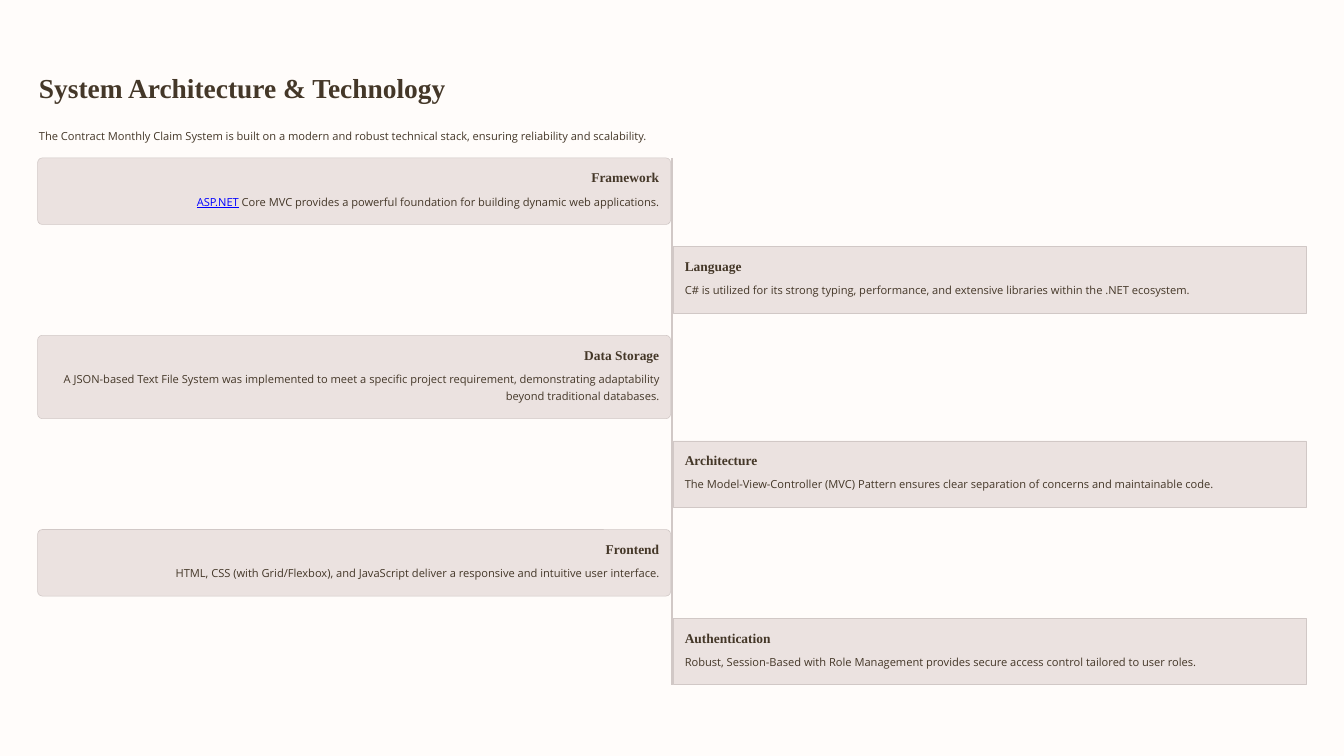
"""Build the System Architecture & Technology timeline slide."""
from pptx import Presentation
from pptx.dml.color import RGBColor
from pptx.enum.shapes import MSO_CONNECTOR, MSO_SHAPE
from pptx.enum.text import MSO_ANCHOR, MSO_AUTO_SIZE, PP_ALIGN
from pptx.oxml.ns import qn
from pptx.util import Inches, Pt
from lxml import etree

LEFT, RIGHT = PP_ALIGN.LEFT, PP_ALIGN.RIGHT
ROUNDED, SQUARE = MSO_SHAPE.ROUNDED_RECTANGLE, MSO_SHAPE.RECTANGLE
STRAIGHT = MSO_CONNECTOR.STRAIGHT
TOP, FIXED = MSO_ANCHOR.TOP, MSO_AUTO_SIZE.NONE

TITLE = "System Architecture & Technology"
INTRO = ("The Contract Monthly Claim System is built on a modern and robust technical stack, "
         "ensuring reliability and scalability.")
CARDS = [
    ("Framework", 1, [("ASP.NET", "link"),
                      (" Core MVC provides a powerful foundation for building dynamic web applications.", "text")]),
    ("Language", 1, [("C# is utilized for its strong typing, performance, and extensive libraries "
                      "within the .NET ecosystem.", "text")]),
    ("Data Storage", 2, [("A JSON-based Text File System was implemented to meet a specific project requirement, "
                          "demonstrating adaptability beyond traditional databases.", "text")]),
    ("Architecture", 1, [("The Model-View-Controller (MVC) Pattern ensures clear separation of concerns "
                          "and maintainable code.", "text")]),
    ("Frontend", 1, [("HTML, CSS (with Grid/Flexbox), and JavaScript deliver a responsive "
                      "and intuitive user interface.", "text")]),
    ("Authentication", 1, [("Robust, Session-Based with Role Management provides secure access control "
                            "tailored to user roles.", "text")]),
]

COLORS = {"background": "FFFCFA", "card": "EBE2E0", "line": "D1C8C6", "text": "443728", "link": "0000FF"}
STYLES = {
    "title": {"font": "Times New Roman", "size": 29.4, "spacing": 36.9, "bold": True},
    "heading": {"font": "Times New Roman", "size": 14.4, "spacing": 18.1, "bold": True},
    "body": {"font": "Open Sans", "size": 11.9, "spacing": 18.7, "bold": False},
}

WIDTH, HEIGHT = 20, 11.25
MARGIN = 0.58
CENTER = WIDTH / 2
CARD_WIDTH, CARD_GAP, FIRST_TOP = 9.42, 0.33, 2.35
ONE_LINE_HEIGHT, LINE_HEIGHT = 0.99, 0.25
AXIS_GAP, PADDING, RADIUS = 0.02, 0.17, 0.07
HEADING_OFFSET, BODY_OFFSET = 0.16, 0.49


def color(name):
    return RGBColor.from_string(COLORS[name])


def write(shape, runs, style_name, alignment=LEFT):
    style = STYLES[style_name]
    frame = shape.text_frame
    frame.margin_left = frame.margin_right = frame.margin_top = frame.margin_bottom = 0
    frame.vertical_anchor, frame.auto_size, frame.word_wrap = TOP, FIXED, True
    paragraph = frame.paragraphs[0]
    paragraph.alignment = alignment
    paragraph.line_spacing = Pt(style["spacing"])
    paragraph.space_before = Pt(0)
    for text, color_name in runs:
        run = paragraph.add_run()
        run.text = text
        run.font.name, run.font.size, run.font.bold = style["font"], Pt(style["size"]), style["bold"]
        run.font.color.rgb = color(color_name)
        run.font.underline = color_name == "link"


def add_text(slide, box, runs, style_name, alignment=LEFT):
    shape = slide.shapes.add_textbox(*map(Inches, box))
    write(shape, runs, style_name, alignment)


def add_axis(slide, top, bottom):
    axis = slide.shapes.add_connector(STRAIGHT, *map(Inches, (CENTER, top, CENTER, bottom)))
    axis.line.color.rgb = color("line")
    axis.line.width = Pt(1.25)
    etree.SubElement(axis._element.spPr, qn("a:effectLst"))


def add_card(slide, top, height, on_left, heading, lines, runs):
    left = CENTER - AXIS_GAP - CARD_WIDTH if on_left else CENTER + AXIS_GAP
    alignment = RIGHT if on_left else LEFT
    card = slide.shapes.add_shape(ROUNDED if on_left else SQUARE,
                                  *map(Inches, (left, top, CARD_WIDTH, height)))
    if on_left:
        card.adjustments[0] = RADIUS / height
    card.shadow.inherit = False
    card.fill.solid()
    card.fill.fore_color.rgb = color("card")
    card.line.color.rgb = color("line")
    card.line.width = Pt(0.6)
    text_left, text_width = left + PADDING, CARD_WIDTH - 2 * PADDING
    add_text(slide, (text_left, top + HEADING_OFFSET, text_width, 0.28),
             [(heading, "text")], "heading", alignment)
    add_text(slide, (text_left, top + BODY_OFFSET, text_width, 0.31 + (lines - 1) * LINE_HEIGHT),
             runs, "body", alignment)


def main():
    presentation = Presentation()
    presentation.slide_width, presentation.slide_height = Inches(WIDTH), Inches(HEIGHT)
    slide = presentation.slides.add_slide(presentation.slide_layouts[5])
    slide.background.fill.solid()
    slide.background.fill.fore_color.rgb = color("background")

    title = slide.shapes.title
    title.left, title.top, title.width, title.height = map(Inches, (MARGIN, 1.03, 6.5, 0.54))
    write(title, [(TITLE, "text")], "title")
    add_text(slide, (MARGIN, 1.86, WIDTH - 2 * MARGIN, 0.31), [(INTRO, "text")], "body")

    heights = [ONE_LINE_HEIGHT + (lines - 1) * LINE_HEIGHT for _, lines, _ in CARDS]
    add_axis(slide, FIRST_TOP, FIRST_TOP + sum(heights) + CARD_GAP * (len(CARDS) - 1))
    top = FIRST_TOP
    for index, ((heading, lines, runs), height) in enumerate(zip(CARDS, heights)):
        add_card(slide, top, height, index % 2 == 0, heading, lines, runs)
        top += height + CARD_GAP
    presentation.save("out.pptx")


if __name__ == "__main__":
    main()
